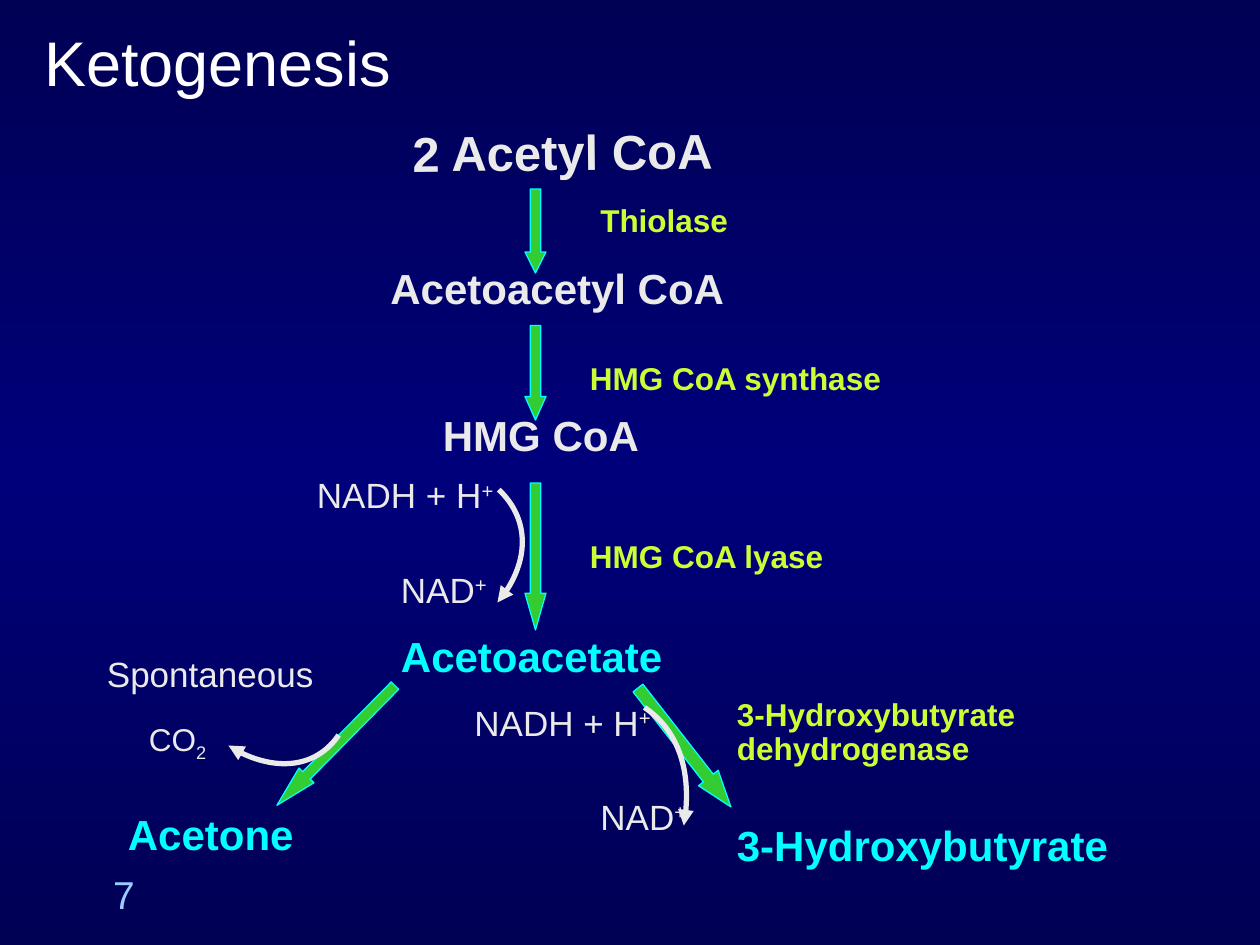
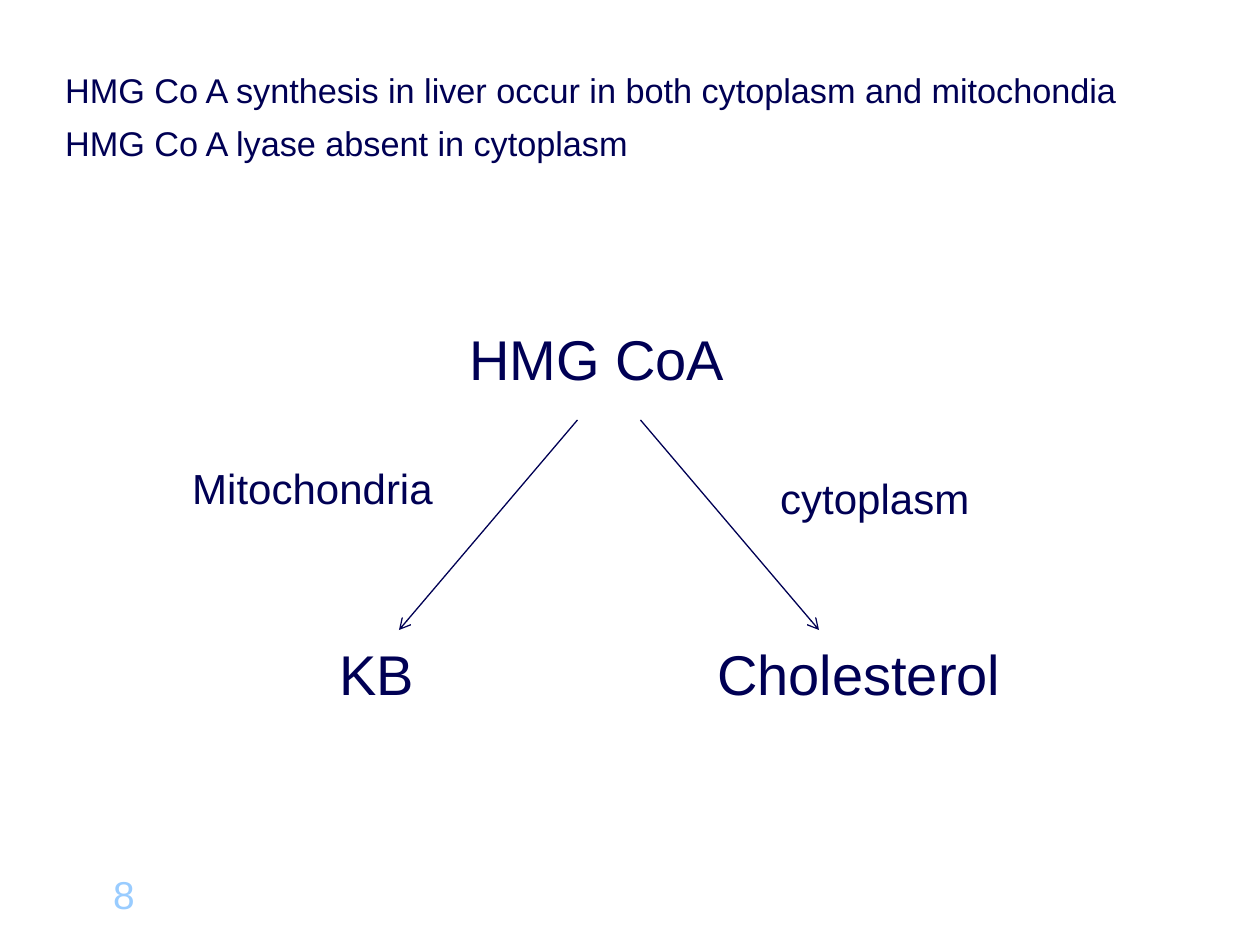
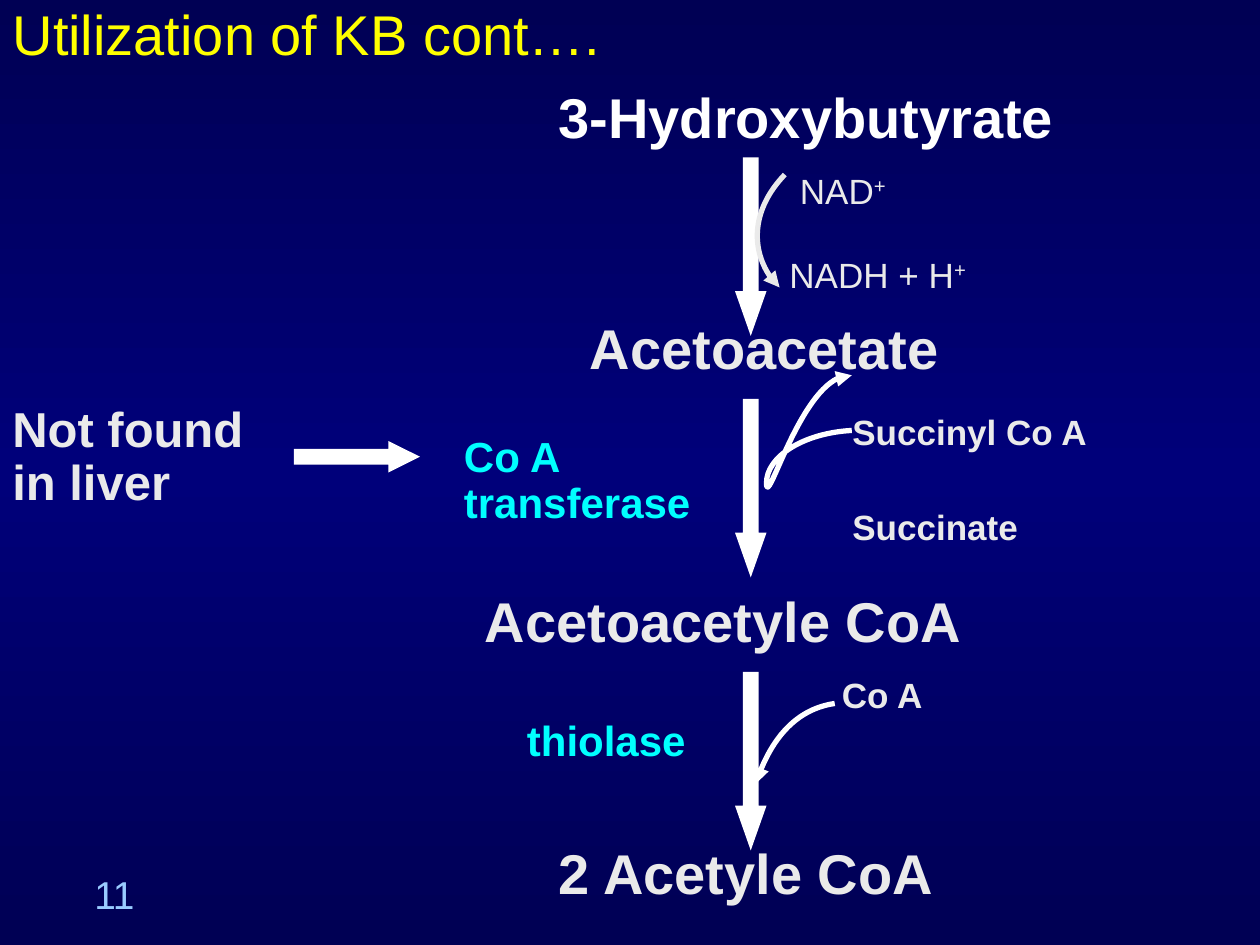
"""Build three slides on ketogenesis and the use of ketone bodies."""
from copy import deepcopy

from lxml import etree
from pptx import Presentation
from pptx.dml.color import RGBColor
from pptx.enum.shapes import MSO_CONNECTOR, MSO_SHAPE
from pptx.enum.text import MSO_ANCHOR, MSO_AUTO_SIZE, PP_ALIGN
from pptx.oxml.ns import qn
from pptx.util import Pt

PX = 9525
DOWN, RIGHT = MSO_SHAPE.DOWN_ARROW, MSO_SHAPE.RIGHT_ARROW
LINE = MSO_CONNECTOR.STRAIGHT
TOP, BOTTOM = MSO_ANCHOR.TOP, MSO_ANCHOR.BOTTOM
LEFT, MID, END = PP_ALIGN.LEFT, PP_ALIGN.CENTER, PP_ALIGN.RIGHT
FIXED = MSO_AUTO_SIZE.NONE

NAVY = RGBColor(0x00, 0x00, 0x54)
BLUE = RGBColor(0x00, 0x00, 0x7A)
SKY = RGBColor(0x99, 0xCC, 0xFF)
PALE = RGBColor(0xEA, 0xEA, 0xEA)
WHITE = RGBColor(0xFF, 0xFF, 0xFF)
CYAN = RGBColor(0x00, 0xFF, 0xFF)
GREEN = RGBColor(0x33, 0xCC, 0x33)
LIME = RGBColor(0xCC, 0xFF, 0x33)
YELLOW = RGBColor(0xFF, 0xFF, 0x00)

FACE = "Arial"
MARKS = {"^": 30000, "_": -25000}
PAGE = (40, 656, 72, 48)

STYLES = {
    "start": dict(size=28, color=PALE, bold=True, align=MID, space=1.0),
    "step": dict(size=24, color=PALE, bold=True),
    "ketone": dict(size=24, color=CYAN, bold=True),
    "enzyme": dict(size=18, color=LIME, bold=True),
    "small": dict(size=18, color=PALE),
    "side": dict(size=20, color=PALE),
    "loose": dict(size=20, color=PALE, wrap=False),
    "donor": dict(size=20, color=PALE, bold=True),
    "stage": dict(size=32, color=PALE, bold=True),
    "first": dict(size=32, color=WHITE, bold=True),
    "note": dict(size=28, color=PALE, bold=True),
    "node": dict(size=32, color=NAVY, wrap=False),
    "place": dict(size=24, color=NAVY, wrap=False),
    "page": dict(size=22.2, color=SKY, align=END, anchor=BOTTOM),
}

SLIDES = [
    dict(
        page="7", dark=True,
        title=("Ketogenesis", (24, 24, 296, 56), 36, WHITE),
        texts=[
            ("2 Acetyl CoA", "start", 292, 88, 273, 1, -0.6),
            ("Acetoacetyl CoA", "step", 288, 200, 328),
            ("HMG CoA", "step", 328, 312, 224),
            ("Acetoacetate", "ketone", 296, 480, 224),
            ("Acetone", "ketone", 88, 616, 184),
            ("3-Hydroxybutyrate", "ketone", 552, 624, 320),
            ("CO_2", "small", 104, 544, 96),
            ("Spontaneous", "loose", 72, 496, 177),
            ("NADH + H^+", "side", 232, 360, 160),
            ("NAD^+", "side", 296, 432, 88),
            ("3-Hydroxybutyrate dehydrogenase", "enzyme", 552, 528, 320, 2),
            ("HMG CoA lyase", "enzyme", 440, 408, 320),
            ("HMG CoA synthase", "enzyme", 440, 272, 320),
            ("Thiolase", "enzyme", 448, 152, 240),
            ("NADH + H^+", "side", 352, 533, 175),
            ("NAD^+", "side", 448, 605, 96),
        ],
        paint=(GREEN, CYAN),
        arrows=[
            (DOWN, (400, 248, 16, 72), 1.12, 0),
            (DOWN, (400, 144, 16, 64), 1, 0),
            (DOWN, (512, 512, 19, 115), 1.47, 322),
            (DOWN, (400, 368, 16, 112), 1.75, 0),
            (DOWN, (248, 504, 16, 128), 2, 44.6),
        ],
        curves=[
            (PALE, [(380, 373), (403, 395), (403, 432), (379, 459)]),
            (PALE, [(258, 560), (241, 585), (204, 588), (174, 568)]),
            (PALE, [(491, 539), (516, 556), (528, 591), (521, 629)]),
        ],
    ),
    dict(
        page="8", dark=False,
        body=["HMG Co A synthesis in liver occur in both cytoplasm and mitochondia",
              "HMG Co A lyase absent in cytoplasm"],
        texts=[
            ("HMG CoA", "node", 348, 248, 214),
            ("Cholesterol", "node", 537, 488, 235),
            ("KB", "node", 249, 488, 76),
            ("Mitochondria", "place", 137, 352, 203),
            ("cytoplasm", "place", 585, 360, 163),
        ],
        lines=[(488, 320, 624, 480), (440, 320, 304, 480)],
    ),
    dict(
        page="11", dark=True,
        title=("Utilization of KB cont….", (0, 0, 816, 56), 32, YELLOW),
        texts=[
            ("3-Hydroxybutyrate", "first", 416, 64, 464),
            ("Acetoacetate", "stage", 440, 240, 336),
            ("Acetoacetyle CoA", "stage", 360, 448, 424),
            ("2 Acetyle CoA", "stage", 416, 640, 360),
            ("Succinyl Co A", "donor", 640, 312, 320),
            ("Succinate", "donor", 640, 384, 224),
            ("Co A", "donor", 632, 512, 176),
            ("thiolase", "ketone", 392, 544, 168),
            ("Co A transferase", "ketone", 344, 328, 216, 2),
            ("Not found in liver", "note", 0, 304, 216, 2),
            ("NADH + H^+", "side", 592, 192, 160),
            ("NAD^+", "side", 600, 128, 88),
        ],
        paint=(WHITE, None),
        arrows=[(RIGHT, (224, 336, 96, 24), 1, 0)]
        + [(DOWN, (560, y, 24, 136), 1.42, 0) for y in (120, 304, 512)],
        curves=[
            (WHITE, [(649, 328), (612, 330), (584, 348), (584, 368),
                     (584, 389), (612, 284), (649, 286)]),
            (WHITE, [(636, 536), (609, 540), (586, 564), (576, 597)]),
            (PALE, [(598, 133), (573, 159), (571, 198), (594, 219)]),
        ],
    ),
]


def put(item, **vals):
    for name, val in vals.items():
        setattr(item, name, val)


def emu(vals):
    return [round(v * PX) for v in vals]


def move(shape, box):
    put(shape, **dict(zip(("left", "top", "width", "height"), emu(box))))


def ink(font, size, color, bold=False):
    put(font, name=FACE, size=Pt(size), bold=bold)
    font.color.rgb = color


def back(slide, dark):
    fill = slide.background.fill
    if not dark:
        fill.solid()
        fill.fore_color.rgb = WHITE
        return
    fill.gradient()
    fill.gradient_angle = 90
    stops = slide.element.find(".//" + qn("a:gsLst"))
    stops.insert(1, deepcopy(stops[0]))
    for stop, pos, color in zip(fill.gradient_stops, (0, 0.5, 1), (NAVY, BLUE, NAVY)):
        stop.position = pos
        stop.color.rgb = color


def label(slide, text, box, size, color, bold=False, wrap=True,
          align=LEFT, anchor=TOP, space=0.9, turn=0):
    shape = slide.shapes.add_textbox(*emu(box))
    shape.rotation = turn
    put(shape.text_frame, word_wrap=wrap, vertical_anchor=anchor)
    para = shape.text_frame.paragraphs[0]
    put(para, alignment=align, line_spacing=space)
    mark = next((m for m in MARKS if m in text), None)
    for n, part in enumerate(text.split(mark) if mark else [text]):
        run = para.add_run()
        run.text = part
        ink(run.font, size, color, bold)
        if n:
            run._r.get_or_add_rPr().set("baseline", str(MARKS[mark]))


def note(slide, text, style, x, y, w, rows=1, turn=0):
    look = STYLES[style]
    high = 9.6 + 1.6 * look["size"] * look.get("space", 0.9) * rows
    label(slide, text, (x, y, w, round(high)), turn=turn, **look)


def head(slide, text, box, size, color):
    shape = slide.shapes.title
    move(shape, box)
    shape.text_frame.text = text
    put(shape.text_frame, vertical_anchor=BOTTOM, auto_size=FIXED)
    para = shape.text_frame.paragraphs[0]
    para.alignment = LEFT
    ink(para.runs[0].font, size, color)


def fill_body(slide, rows):
    shape = slide.placeholders[1]
    move(shape, (40, 48, 880, 176))
    frame = shape.text_frame
    frame.text = "\n".join(rows)
    put(frame, vertical_anchor=TOP, auto_size=FIXED)
    for n, para in enumerate(frame.paragraphs):
        props = para._p.get_or_add_pPr()
        props.set("marL", str(36 * PX))
        props.set("indent", str(-36 * PX))
        etree.SubElement(props, qn("a:buNone"))
        para.space_before = Pt(7 if n else 0)
        ink(para.runs[0].font, 19.6, NAVY)


def arrow(slide, kind, box, tip, turn, fill, edge):
    shape = slide.shapes.add_shape(kind, *emu(box))
    shape.rotation = turn
    shape.shadow.inherit = False
    shape.adjustments[0], shape.adjustments[1] = 0.5, tip
    shape.fill.solid()
    shape.fill.fore_color.rgb = fill
    if edge is None:
        shape.line.fill.background()
    else:
        stroke(shape, edge, 0.75)


def stroke(shape, color, width, tip=None):
    shape.line.color.rgb = color
    shape.line.width = Pt(width)
    if tip:
        etree.SubElement(shape.line._get_or_add_ln(), qn("a:tailEnd"), type=tip)


def curve(slide, color, dots):
    pen = slide.shapes.build_freeform(*dots[0], scale=PX)
    pen.add_line_segments(dots[1:], close=False)
    shape = pen.convert_to_shape()
    shape.shadow.inherit = False
    shape.fill.background()
    stroke(shape, color, 3, "triangle")
    segs = list(shape._element.iter(qn("a:lnTo")))
    for n in range(0, len(segs), 3):
        bend = etree.Element(qn("a:cubicBezTo"))
        segs[n].addprevious(bend)
        for seg in segs[n:n + 3]:
            bend.append(seg[0])
            seg.getparent().remove(seg)


def link(slide, ends):
    shape = slide.shapes.add_connector(LINE, *emu(ends))
    stroke(shape, NAVY, 0.75, "arrow")
    etree.SubElement(shape._element.spPr, qn("a:effectLst"))


def main():
    deck = Presentation()
    put(deck, slide_width=960 * PX, slide_height=720 * PX)
    for data in SLIDES:
        slide = deck.slides.add_slide(deck.slide_layouts[1 if "body" in data else 5])
        back(slide, data["dark"])
        if "title" in data:
            head(slide, *data["title"])
        else:
            title = slide.shapes.title._element
            title.getparent().remove(title)
            fill_body(slide, data["body"])
        label(slide, data["page"], PAGE, **STYLES["page"])
        for item in data.get("arrows", []):
            arrow(slide, *item, *data["paint"])
        for item in data["texts"]:
            note(slide, *item)
        for item in data.get("curves", []):
            curve(slide, *item)
        for item in data.get("lines", []):
            link(slide, item)
    deck.save("out.pptx")


if __name__ == "__main__":
    main()
